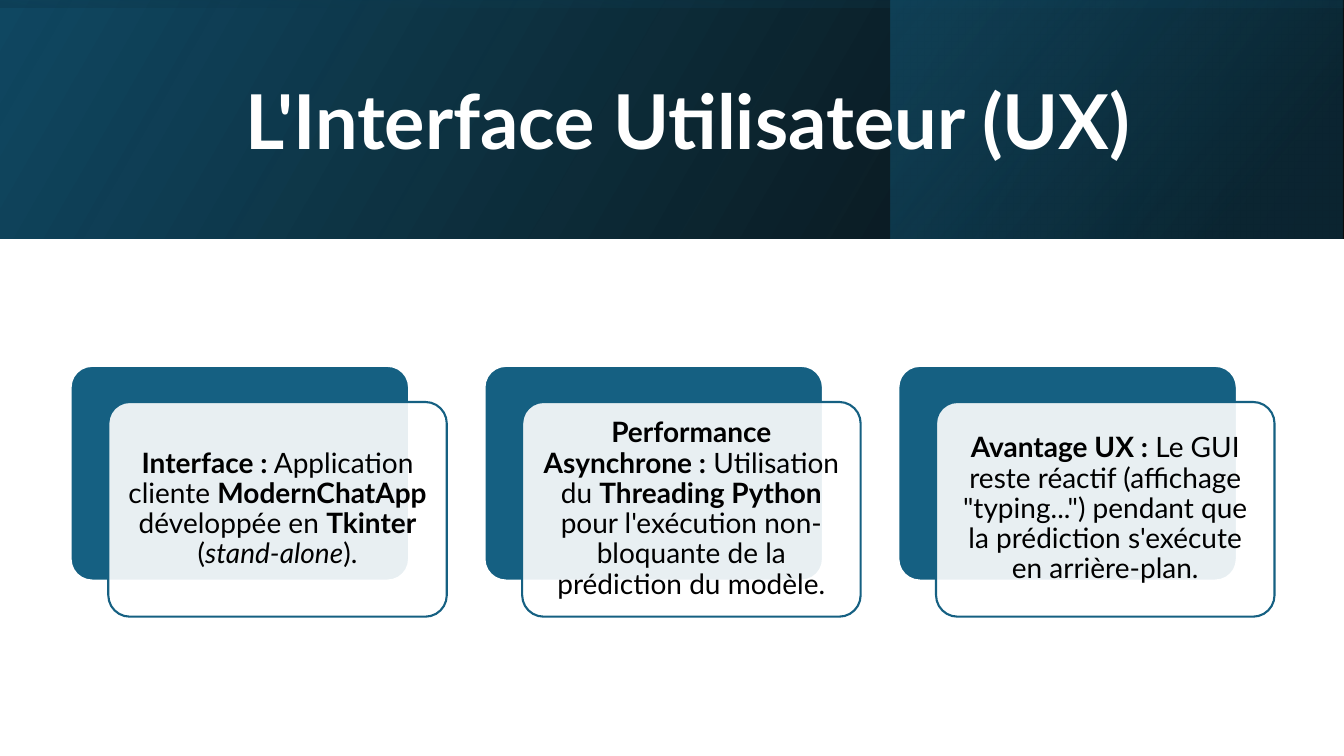
from dataclasses import dataclass

import lxml.etree
import pptx
import pptx.dml.color
import pptx.enum.shapes
import pptx.enum.text
import pptx.oxml.ns
import pptx.shapes.autoshape
import pptx.shapes.shapetree
import pptx.util

Cm = pptx.util.Cm
MSO_SHAPE = pptx.enum.shapes.MSO_SHAPE
BLUE = "156082"
WHITE = "FFFFFF"
BLACK = "000000"
FONT = "Lato"


@dataclass
class Box:
    left: float
    top: float
    width: float
    height: float

    def lengths(self) -> tuple[int, int, int, int]:
        return Cm(self.left), Cm(self.top), Cm(self.width), Cm(self.height)


@dataclass
class Stop:
    position: int
    color: str
    opacity: int


@dataclass
class BannerLayer:
    box: Box
    stops: list[Stop]
    angle: int
    rotation: int = 0


@dataclass
class Run:
    text: str
    bold: bool = False
    italic: bool = False


BANNER_LAYERS = [
    BannerLayer(Box(0, 0, 33.87, 6.02), [Stop(0, BLACK, 96), Stop(100, "104862", 96)], 330),
    BannerLayer(Box(22.45, 0, 11.38, 6.02), [Stop(19, "0B3041", 68), Stop(100, BLUE, 48)], 320),
    BannerLayer(Box(13.92, -13.92, 6.02, 33.87), [Stop(23, "104862", 16), Stop(99, BLACK, 45)], 350, 270),
]
BANNER_LAYERS[0].stops[1].opacity = 100

CARDS = [
    [
        Run("Interface :", bold=True),
        Run(" Application cliente "),
        Run("ModernChatApp", bold=True),
        Run(" développée en "),
        Run("Tkinter", bold=True),
        Run(" ("),
        Run("stand-alone", italic=True),
        Run(")."),
    ],
    [
        Run("Performance Asynchrone :", bold=True),
        Run(" Utilisation du "),
        Run("Threading Python", bold=True),
        Run(" pour l'exécution non-bloquante de la prédiction du modèle."),
    ],
    [
        Run("Avantage UX :", bold=True),
        Run(" Le GUI reste réactif (affichage \"typing...\") pendant que la prédiction s'exécute en arrière-plan."),
    ],
]
CARD_LEFT, CARD_TOP, CARD_PITCH = 1.78, 9.22, 10.43
CARD_WIDTH, CARD_HEIGHT = 8.53, 5.41
FRONT_SHIFT_X, FRONT_SHIFT_Y = 0.95, 0.91
TEXT_MARGIN = 0.16


def rgb(color: str) -> pptx.dml.color.RGBColor:
    return pptx.dml.color.RGBColor.from_string(color)


def add_child(parent: lxml.etree._Element, tag: str, **attributes: str) -> lxml.etree._Element:
    return lxml.etree.SubElement(parent, pptx.oxml.ns.qn(tag), attributes)


def add_banner_layer(shapes: pptx.shapes.shapetree.SlideShapes, layer: BannerLayer) -> None:
    shape = shapes.add_shape(MSO_SHAPE.RECTANGLE, *layer.box.lengths())
    shape.shadow.inherit = False
    shape.line.fill.background()
    shape.rotation = layer.rotation
    properties = shape.element.spPr
    properties.find(pptx.oxml.ns.qn("a:xfrm")).set("flipH", "1")
    shape.fill.gradient()
    gradient = properties.find(pptx.oxml.ns.qn("a:gradFill"))
    for child in list(gradient):
        gradient.remove(child)
    stop_list = add_child(gradient, "a:gsLst")
    for stop in layer.stops:
        stop_element = add_child(stop_list, "a:gs", pos=str(stop.position * 1000))
        color = add_child(stop_element, "a:srgbClr", val=stop.color)
        add_child(color, "a:alpha", val=str(stop.opacity * 1000))
    add_child(gradient, "a:lin", ang=str(layer.angle * 60000), scaled="0")


def add_text(
    shapes: pptx.shapes.shapetree.SlideShapes,
    box: Box,
    runs: list[Run],
    size: int,
    color: str,
    margin: float,
) -> None:
    frame = shapes.add_textbox(*box.lengths()).text_frame
    frame.word_wrap = True
    frame.vertical_anchor = pptx.enum.text.MSO_ANCHOR.MIDDLE
    frame.margin_left = frame.margin_right = Cm(margin)
    frame.margin_top = frame.margin_bottom = Cm(margin)
    paragraph = frame.paragraphs[0]
    paragraph.alignment = pptx.enum.text.PP_ALIGN.CENTER
    paragraph.line_spacing = 0.9
    paragraph.font.name = FONT
    paragraph.font.size = pptx.util.Pt(size)
    paragraph.font.color.rgb = rgb(color)
    for item in runs:
        run = paragraph.add_run()
        run.text = item.text
        run.font.bold = item.bold
        run.font.italic = item.italic


def add_panel(
    shapes: pptx.shapes.shapetree.GroupShapes, box: Box, fill: str, line: str
) -> pptx.shapes.autoshape.Shape:
    shape = shapes.add_shape(MSO_SHAPE.ROUNDED_RECTANGLE, *box.lengths())
    shape.adjustments[0] = 0.1
    shape.shadow.inherit = False
    shape.fill.solid()
    shape.fill.fore_color.rgb = rgb(fill)
    shape.line.color.rgb = rgb(line)
    shape.line.width = pptx.util.Pt(1.5)
    return shape


def add_card(shapes: pptx.shapes.shapetree.GroupShapes, left: float, runs: list[Run]) -> None:
    add_panel(shapes, Box(left, CARD_TOP, CARD_WIDTH, CARD_HEIGHT), BLUE, WHITE)
    front = Box(left + FRONT_SHIFT_X, CARD_TOP + FRONT_SHIFT_Y, CARD_WIDTH, CARD_HEIGHT)
    panel = add_panel(shapes, front, WHITE, BLUE)
    fill_color = panel.element.spPr.find(".//" + pptx.oxml.ns.qn("a:srgbClr"))
    add_child(fill_color, "a:alpha", val="90000")
    text_box = Box(
        front.left + TEXT_MARGIN,
        front.top + TEXT_MARGIN,
        CARD_WIDTH - 2 * TEXT_MARGIN,
        CARD_HEIGHT - 2 * TEXT_MARGIN,
    )
    add_text(shapes, text_box, runs, 20, BLACK, 0.2)


def main() -> None:
    presentation = pptx.Presentation()
    presentation.slide_width = Cm(33.87)
    presentation.slide_height = Cm(19.05)
    slide = presentation.slides.add_slide(presentation.slide_layouts[6])
    for layer in BANNER_LAYERS:
        add_banner_layer(slide.shapes, layer)
    title = [Run("L'Interface Utilisateur (UX)", bold=True)]
    add_text(slide.shapes, Box(3.84, 0.97, 27, 4.37), title, 54, WHITE, 0.2)
    cards = slide.shapes.add_group_shape()
    for index, runs in enumerate(CARDS):
        add_card(cards.shapes, CARD_LEFT + index * CARD_PITCH, runs)
    presentation.save("out.pptx")


if __name__ == "__main__":
    main()
